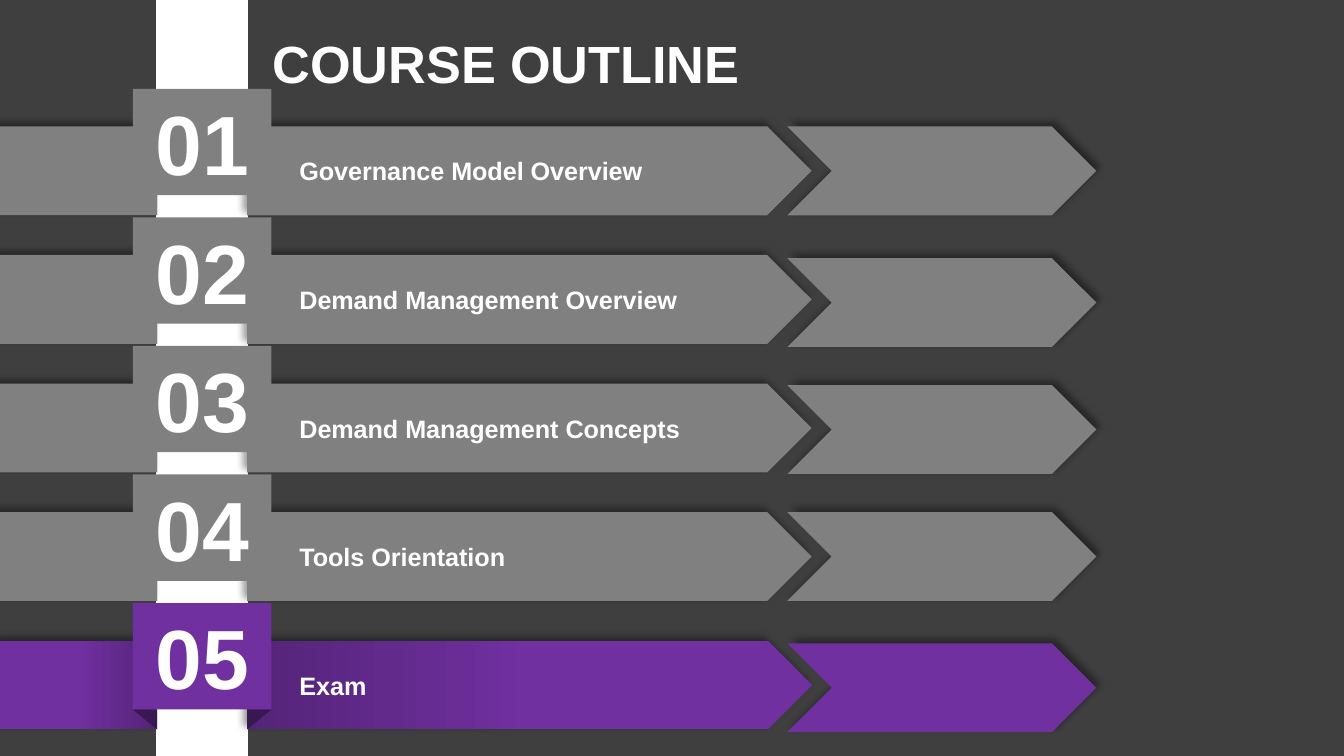
from lxml import etree
from pptx import Presentation
from pptx.dml.color import RGBColor
from pptx.enum.shapes import MSO_SHAPE
from pptx.enum.text import MSO_ANCHOR, MSO_AUTO_SIZE, PP_ALIGN
from pptx.oxml.ns import qn
from pptx.util import Cm, Pt

RECTANGLE, PENTAGON = MSO_SHAPE.RECTANGLE, MSO_SHAPE.PENTAGON
CHEVRON, TRIANGLE = MSO_SHAPE.CHEVRON, MSO_SHAPE.RIGHT_TRIANGLE
LEFT, CENTER = PP_ALIGN.LEFT, PP_ALIGN.CENTER
TOP, MIDDLE = MSO_ANCHOR.TOP, MSO_ANCHOR.MIDDLE
NO_AUTOFIT = MSO_AUTO_SIZE.NONE

COLORS = {"background": "3F3F3F", "white": "FFFFFF", "gray": "808080",
          "purple": "7030A0", "shade": "542478", "fold": "381850", "black": "000000"}
TITLE_ONLY = 5
ROW_TOP, ROW_STEP, ROW_HEIGHT = 2.39, 2.43, 1.68
STRIP_LEFT, STRIP_RIGHT = 2.97, 4.67
FOLD_WIDTH, FOLD_HEIGHT = 0.46, 0.38
NUMBER_RISE, NUMBER_HEIGHT = 0.71, 2.01

# label, main color, fold color, gradient shade, drop of the chevron
ROWS = [
    ("Governance Model Overview", "gray", "gray", None, 0),
    ("Demand Management Overview", "gray", "gray", None, 0.06),
    ("Demand Management Concepts", "gray", "gray", None, 0.03),
    ("Tools Orientation", "gray", "gray", None, 0),
    ("Exam", "purple", "fold", "shade", 0.05),
]


def rgb(name):
    return RGBColor.from_string(COLORS[name])


class OutlineSlide:
    """Holds the text style and the slide being built."""

    font = "Arial"

    def __init__(self, page):
        self.page = page
        page.background.fill.solid()
        page.background.fill.fore_color.rgb = rgb("background")

    def text(self, shape, words, size, align, margins, anchor=MIDDLE, spacing=1.0):
        """Margins are left, top, right and bottom in centimetres."""
        left, top, right, bottom = (Cm(margin) for margin in margins)
        frame = shape.text_frame
        frame_format = {"margin_left": left, "margin_top": top, "margin_right": right,
                        "margin_bottom": bottom, "vertical_anchor": anchor,
                        "word_wrap": True, "auto_size": NO_AUTOFIT}
        for name, value in frame_format.items():
            setattr(frame, name, value)
        para = frame.paragraphs[0]
        para.alignment, para.line_spacing = align, spacing
        span = para.add_run()
        span.text = words
        for name, value in {"name": self.font, "size": Pt(size), "bold": True}.items():
            setattr(span.font, name, value)
        span.font.color.rgb = rgb("white")

    def title(self, words, left, top, width, height):
        box = self.page.shapes.title
        place = {"left": left, "top": top, "width": width, "height": height}
        for name, value in place.items():
            setattr(box, name, Cm(value))
        self.text(box, words, 28, LEFT, [0.25] * 4, TOP, 1.1)

    def shape(self, kind, left, top, width, height, color):
        shape = self.page.shapes.add_shape(kind, Cm(left), Cm(top), Cm(width), Cm(height))
        shape.shadow.inherit = False
        shape.fill.solid()
        shape.fill.fore_color.rgb = rgb(color)
        shape.line.fill.background()
        return shape

    def strip(self, left, top, width, height):
        strip = self.shape(RECTANGLE, left, top, width, height, "white")
        strip.line.color.rgb = rgb("white")
        strip.line.width = Pt(1)

    def band(self, kind, left, top, width, color, direction, shade=None, angle=0):
        """A row part with a shadow and, given a shade, a gradient."""
        band = self.shape(kind, left, top, width, ROW_HEIGHT, color)
        if shade:
            band.fill.gradient()
            band.fill.gradient_angle = angle
            for stop, name, position in zip(band.fill.gradient_stops, (shade, color), (0, 0.5)):
                stop.color.rgb = rgb(name)
                stop.position = position
        effects = band.element.spPr.find(qn("a:effectLst"))
        shadow = etree.SubElement(effects, qn("a:outerShdw"), blurRad=str(Pt(4)),
                                  dist=str(Pt(3)), dir=str(direction * 60000),
                                  algn="ctr", rotWithShape="0")
        tint = etree.SubElement(shadow, qn("a:srgbClr"), val=COLORS["black"])
        etree.SubElement(tint, qn("a:alpha"), val="40000")
        return band

    def fold(self, left, top, color, flipped):
        fold = self.shape(TRIANGLE, left, top, FOLD_WIDTH, FOLD_HEIGHT, color)
        fold.rotation = 180
        if flipped:
            fold.element.spPr.find(qn("a:xfrm")).set("flipH", "1")

    def row(self, number, label, color, fold_color, shade, chevron_drop):
        top = ROW_TOP + (number - 1) * ROW_STEP
        number_top = top - NUMBER_RISE
        number_left = STRIP_LEFT - FOLD_WIDTH
        number_width = STRIP_RIGHT + FOLD_WIDTH - number_left
        fold_top = number_top + NUMBER_HEIGHT

        arrow = self.band(PENTAGON, STRIP_RIGHT, top, 10.67, color, 225, shade)
        self.text(arrow, label, 13.5, LEFT, [0.99, 0.1, 0.18, 0.1])
        self.band(RECTANGLE, 0, top, STRIP_LEFT, color, 225, shade, 180)
        self.fold(STRIP_RIGHT, fold_top, fold_color, True)
        self.fold(number_left, fold_top, fold_color, False)
        tile = self.shape(RECTANGLE, number_left, number_top, number_width, NUMBER_HEIGHT, color)
        self.text(tile, f"{number:02d}", 45, CENTER, [0.18, 0.1, 0.18, 0.1])
        self.band(CHEVRON, 14.88, top + chevron_drop, 5.84, color, 315)


def main():
    deck = Presentation()
    deck.slide_width, deck.slide_height = Cm(25.4), Cm(14.29)
    outline = OutlineSlide(deck.slides.add_slide(deck.slide_layouts[TITLE_ONLY]))
    outline.title("COURSE OUTLINE", 4.9, 0.23, 23.67, 1.6)
    outline.strip(STRIP_LEFT, 0, STRIP_RIGHT - STRIP_LEFT, 14.29)
    for number, row in enumerate(ROWS, start=1):
        outline.row(number, *row)
    deck.save("out.pptx")


if __name__ == "__main__":
    main()
